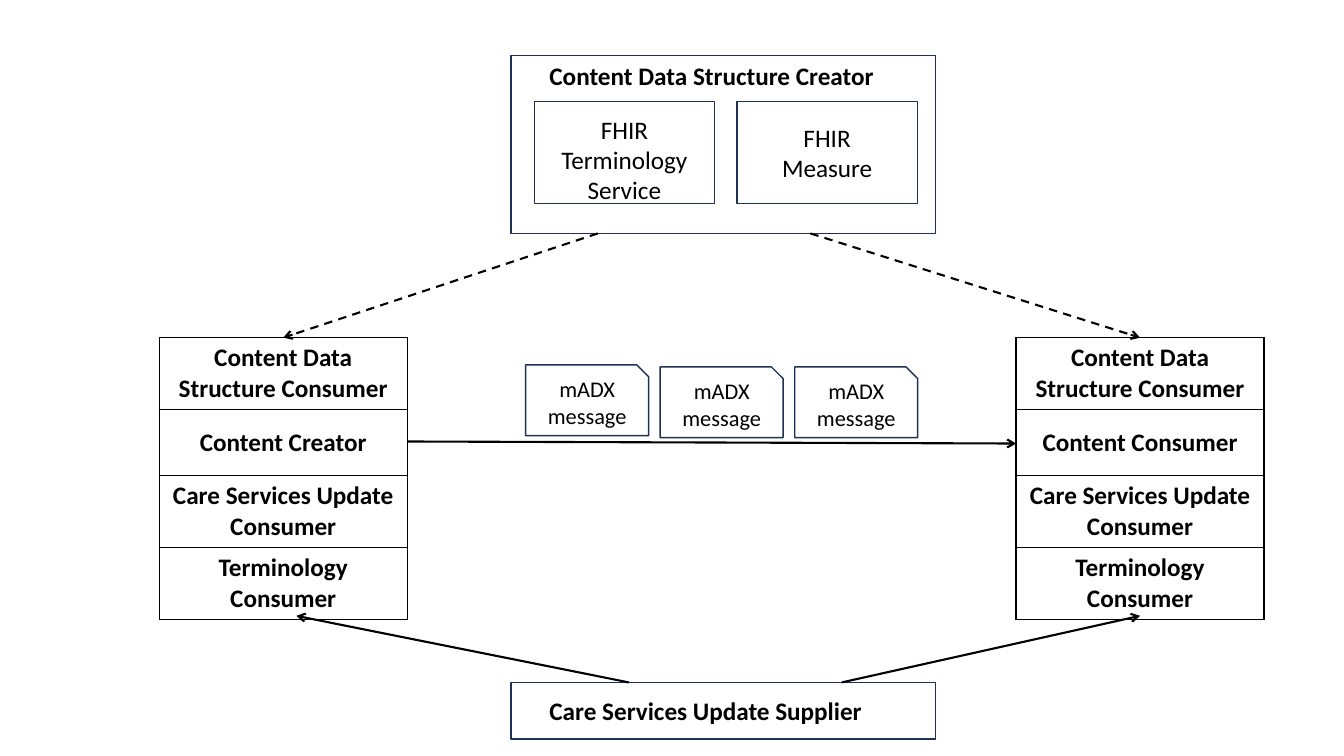
from lxml import etree
from pptx import Presentation
from pptx.dml.color import RGBColor
from pptx.enum.dml import MSO_LINE_DASH_STYLE as Dash
from pptx.enum.shapes import MSO_CONNECTOR as Connector, MSO_SHAPE as Preset
from pptx.enum.text import MSO_ANCHOR as Anchor, PP_ALIGN as Align
from pptx.oxml import parse_xml
from pptx.oxml.ns import nsdecls, qn
from pptx.util import Inches, Pt

WIDTH, HEIGHT = Inches(13.333), Inches(7.5)
FONT, BLACK, NAVY = "Calibri", "000000", "1E3256"

# Shares of the slide's size, in percent
ACTOR_LEFT, ACTOR_WIDTH = 38.03, 31.58
CREATOR_TOP, CREATOR_HEIGHT = 7.33, 23.55
SUPPLIER_TOP, SUPPLIER_HEIGHT = 90.27, 7.47
SERVICE_LEFT, SERVICE_STEP, SERVICE_SIZE = 39.75, 15.08, (13.43, 13.47)
TABLE_LEFTS, TABLE_TOP, TABLE_WIDTH = (11.85, 75.6), 44.67, 18.45
ROW_HEIGHTS = (9.33, 8.8, 9.33, 9.33)
TABLE_BOTTOM = TABLE_TOP + sum(ROW_HEIGHTS)
MESSAGE_LEFT, MESSAGE_STEP, MESSAGE_SIZE = 39.11, 10.01, (9.15, 9.35)
MESSAGE_TOPS = (48.27, 48.53, 48.53)


def across(share):
    return round(WIDTH * share / 100)


def down(share):
    return round(HEIGHT * share / 100)


def area(left, top, width, height):
    return across(left), down(top), across(width), down(height)


def color(hex_code):
    return RGBColor.from_string(hex_code)


def write(text_frame, text, size=18, bold=False, align=Align.CENTER):
    text_frame.text = text
    for paragraph in text_frame.paragraphs:
        paragraph.alignment = align
        font = paragraph.font
        font.name, font.size, font.bold = FONT, Pt(size), bold
        font.color.rgb = color(BLACK)


def add_box(slide, place, text, preset=Preset.RECTANGLE, anchor=Anchor.TOP,
            margins=(0.1, 0.05, 0.1, 0), **style):
    """Outlined box; margins are left, top, right and bottom in inches."""
    shape = slide.shapes.add_shape(preset, *area(*place))
    shape.shadow.inherit = False
    shape.fill.background()
    shape.line.color.rgb = color(NAVY)
    shape.line.width = Pt(1)
    frame = shape.text_frame
    frame.word_wrap = True
    frame.vertical_anchor = anchor
    (frame.margin_left, frame.margin_top,
     frame.margin_right, frame.margin_bottom) = map(Inches, margins)
    write(frame, text, **style)
    return shape


def add_borders(cell):
    properties = cell._tc.get_or_add_tcPr()
    for side in ("lnL", "lnR", "lnT", "lnB"):
        properties.append(parse_xml(
            f'<a:{side} {nsdecls("a")} w="{Pt(1)}"><a:solidFill>'
            f'<a:srgbClr val="{BLACK}"/></a:solidFill></a:{side}>'))


def add_role_table(slide, left, roles):
    place = area(left, TABLE_TOP, TABLE_WIDTH, sum(ROW_HEIGHTS))
    graphic = slide.shapes.add_table(len(roles), 1, *place)
    table = graphic.table
    table.first_row = table.horz_banding = False
    for row, height, role in zip(table.rows, ROW_HEIGHTS, roles):
        row.height = down(height)
        cell = row.cells[0]
        add_borders(cell)
        cell.fill.background()
        cell.vertical_anchor = Anchor.MIDDLE
        write(cell.text_frame, role, bold=True)
    return graphic


def add_arrow(slide, start, end, dashed=False, target=None, site=0):
    arrow = slide.shapes.add_connector(
        Connector.STRAIGHT, across(start[0]), down(start[1]),
        across(end[0]), down(end[1]))
    arrow.line.color.rgb = color(BLACK)
    arrow.line.width = Pt(1.5)
    if dashed:
        arrow.line.dash_style = Dash.DASH
    line = arrow.line._get_or_add_ln()
    etree.SubElement(line, qn("a:tailEnd"), type="arrow")
    etree.SubElement(arrow._element.spPr, qn("a:effectLst"))
    if target is not None:
        arrow.end_connect(target, site)


def main():
    presentation = Presentation()
    presentation.slide_width, presentation.slide_height = WIDTH, HEIGHT
    slide = presentation.slides.add_slide(presentation.slide_layouts[6])

    # Creator with its two services, and the supplier
    add_box(slide, (ACTOR_LEFT, CREATOR_TOP, ACTOR_WIDTH, CREATOR_HEIGHT),
            "Content Data Structure Creator", margins=(0.38, 0.05, 0.1, 0),
            bold=True, align=Align.LEFT)
    services = (
        ("FHIR\nTerminology\nService", Anchor.TOP, (0.1, 0.12, 0.1, 0)),
        ("FHIR\nMeasure", Anchor.MIDDLE, (0.1, 0.05, 0.1, 0.05)),
    )
    for index, (text, anchor, margins) in enumerate(services):
        left = SERVICE_LEFT + index * SERVICE_STEP
        add_box(slide, (left, 13.47, *SERVICE_SIZE), text,
                anchor=anchor, margins=margins)
    add_box(slide, (ACTOR_LEFT, SUPPLIER_TOP, ACTOR_WIDTH, SUPPLIER_HEIGHT),
            "Care Services Update Supplier", margins=(0.38, 0.13, 0.1, 0),
            bold=True, align=Align.LEFT)

    # Role tables on both sides
    sender, receiver = (
        add_role_table(slide, left, (
            "Content Data Structure Consumer", role,
            "Care Services Update Consumer", "Terminology Consumer"))
        for left, role in zip(TABLE_LEFTS,
                              ("Content Creator", "Content Consumer")))
    sender_middle, receiver_middle = (
        left + TABLE_WIDTH / 2 for left in TABLE_LEFTS)

    # Arrows between the actors
    creator_bottom = CREATOR_TOP + CREATOR_HEIGHT
    add_arrow(slide, (44.48, creator_bottom), (sender_middle, TABLE_TOP),
              dashed=True, target=sender)
    add_arrow(slide, (60.3, creator_bottom), (receiver_middle, TABLE_TOP),
              dashed=True, target=receiver)
    add_arrow(slide, (TABLE_LEFTS[0] + TABLE_WIDTH, 58.4),
              (TABLE_LEFTS[1], 58.67))
    add_arrow(slide, (46.8, SUPPLIER_TOP), (22.05, TABLE_BOTTOM))
    add_arrow(slide, (62.63, SUPPLIER_TOP), (receiver_middle, TABLE_BOTTOM),
              target=receiver, site=2)

    # Messages above the main arrow
    for index, top in enumerate(MESSAGE_TOPS):
        left = MESSAGE_LEFT + index * MESSAGE_STEP
        add_box(slide, (left, top, *MESSAGE_SIZE), "mADX message",
                preset=Preset.SNIP_1_RECTANGLE,
                margins=(0.18, 0.04, 0.12, 0), size=16)

    presentation.save("out.pptx")


if __name__ == "__main__":
    main()
